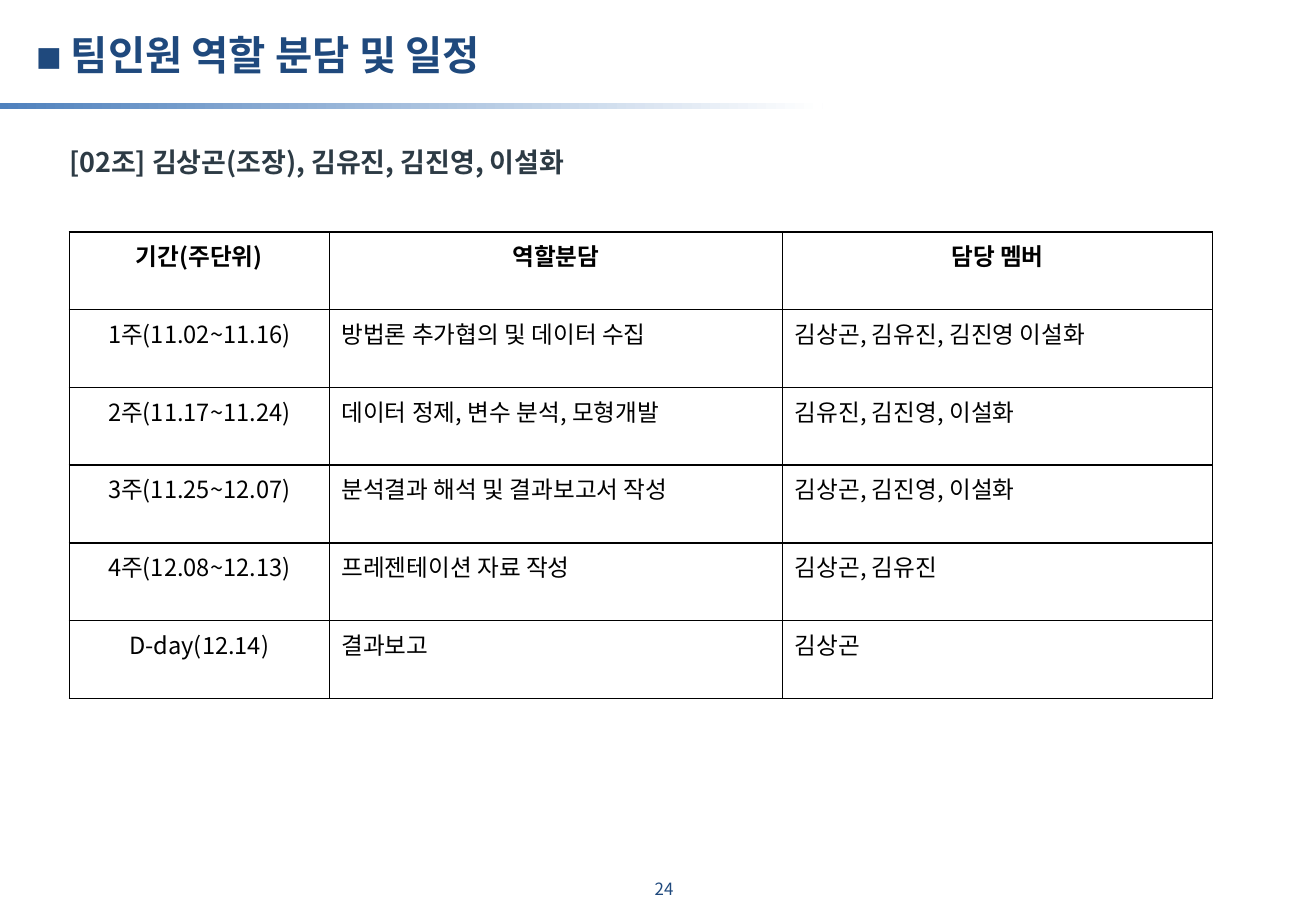
"""Build the slide on team roles and schedule."""
from lxml.etree import SubElement
from pptx import Presentation
from pptx.dml.color import RGBColor
from pptx.enum.shapes import MSO_SHAPE
from pptx.enum.text import MSO_ANCHOR, MSO_AUTO_SIZE, PP_ALIGN
from pptx.oxml.ns import qn
from pptx.util import Inches, Pt

FONT = "Noto Sans CJK KR"
COLORS = {
    "navy": "1F497D",
    "blue": "4F81BD",
    "slate": "2D3B45",
    "black": "000000",
    "white": "FFFFFF",
}
TABLE_LEFT, TABLE_TOP, ROW_HEIGHT = 0.57, 1.91, 0.64
COLUMN_WIDTHS = [2.14, 3.73, 3.54]
SCHEDULE = [
    ["기간(주단위)", "역할분담", "담당 멤버"],
    ["1주(11.02~11.16)", "방법론 추가협의 및 데이터 수집", "김상곤, 김유진, 김진영 이설화"],
    ["2주(11.17~11.24)", "데이터 정제, 변수 분석, 모형개발", "김유진, 김진영, 이설화"],
    ["3주(11.25~12.07)", "분석결과 해석 및 결과보고서 작성", "김상곤, 김진영, 이설화"],
    ["4주(12.08~12.13)", "프레젠테이션 자료 작성", "김상곤, 김유진"],
    ["D-day(12.14)", "결과보고", "김상곤"],
]


def write(frame, text, size, color, bold=False, align=PP_ALIGN.LEFT, before=0):
    """Write one formatted run and return its paragraph."""
    paragraph = frame.paragraphs[0]
    paragraph.alignment = align
    paragraph.space_before = Pt(before)
    run = paragraph.add_run()
    run.text = text
    run.font.size = Pt(size)
    run.font.bold = bold
    run.font.name = FONT
    run.font.color.rgb = RGBColor.from_string(COLORS[color])
    SubElement(run.font._element, qn("a:ea"), typeface=FONT)
    return paragraph


def place(shape, box, margins):
    """Set position, size and text margins, and return the text frame."""
    shape.left, shape.top, shape.width, shape.height = map(Inches, box)
    frame = shape.text_frame
    frame.word_wrap = True
    frame.auto_size = MSO_AUTO_SIZE.NONE
    frame.vertical_anchor = MSO_ANCHOR.TOP
    (frame.margin_left, frame.margin_top,
     frame.margin_right, frame.margin_bottom) = map(Inches, margins)
    return frame


presentation = Presentation()
presentation.slide_width = Inches(10.83)
presentation.slide_height = Inches(7.5)
slide = presentation.slides.add_slide(presentation.slide_layouts[5])
shapes = slide.shapes

title_frame = place(shapes.title, (0.3, 0.2, 8.33, 0.5), (0, 0.05, 0.1, 0.05))
title = write(title_frame, "◼ 팀인원 역할 분담 및 일정", 24, "navy", bold=True)
title_properties = title._p.get_or_add_pPr()
title_properties.set("marL", str(Inches(0.2)))
title_properties.set("indent", str(Inches(-0.2)))

rule = shapes.add_shape(
    MSO_SHAPE.RECTANGLE, Inches(-0.01), Inches(0.85), Inches(6.78), Inches(0.05))
rule.shadow.inherit = False
rule.line.fill.background()
rule.fill.gradient()
rule.fill.gradient_angle = 0
for stop, color in zip(rule.fill.gradient_stops, ("blue", "white")):
    stop.color.rgb = RGBColor.from_string(COLORS[color])

team_box = shapes.add_textbox(0, 0, 0, 0)
team_frame = place(team_box, (TABLE_LEFT, 1.2, 5.27, 0.35), (0, 0, 0, 0))
write(team_frame, "[02조] 김상곤(조장), 김유진, 김진영, 이설화", 16, "slate",
      bold=True, before=3.2)

table = shapes.add_table(
    len(SCHEDULE), len(COLUMN_WIDTHS), Inches(TABLE_LEFT), Inches(TABLE_TOP),
    Inches(sum(COLUMN_WIDTHS)), Inches(ROW_HEIGHT * len(SCHEDULE))).table
table.first_row = False
table.horz_banding = False
for column, width in zip(table.columns, COLUMN_WIDTHS):
    column.width = Inches(width)
for row_index, texts in enumerate(SCHEDULE):
    table.rows[row_index].height = Inches(ROW_HEIGHT)
    for column_index, text in enumerate(texts):
        cell = table.cell(row_index, column_index)
        header = row_index == 0
        centred = header or column_index == 0
        write(cell.text_frame, text, 14, "black", bold=header,
              align=PP_ALIGN.CENTER if centred else PP_ALIGN.LEFT)
        cell_properties = cell._tc.get_or_add_tcPr()
        for side in ("lnL", "lnR", "lnT", "lnB"):
            border = SubElement(cell_properties, qn(f"a:{side}"), w=str(Pt(0.96)))
            fill = SubElement(border, qn("a:solidFill"))
            SubElement(fill, qn("a:srgbClr"), val=COLORS["black"])
        cell.fill.background()

number_box = shapes.add_textbox(0, 0, 0, 0)
number_frame = place(number_box, (5.15, 7.15, 0.55, 0.31), (0.08, 0.08, 0, 0))
write(number_frame, "24", 10, "navy", align=PP_ALIGN.CENTER, before=4)

presentation.save("out.pptx")
